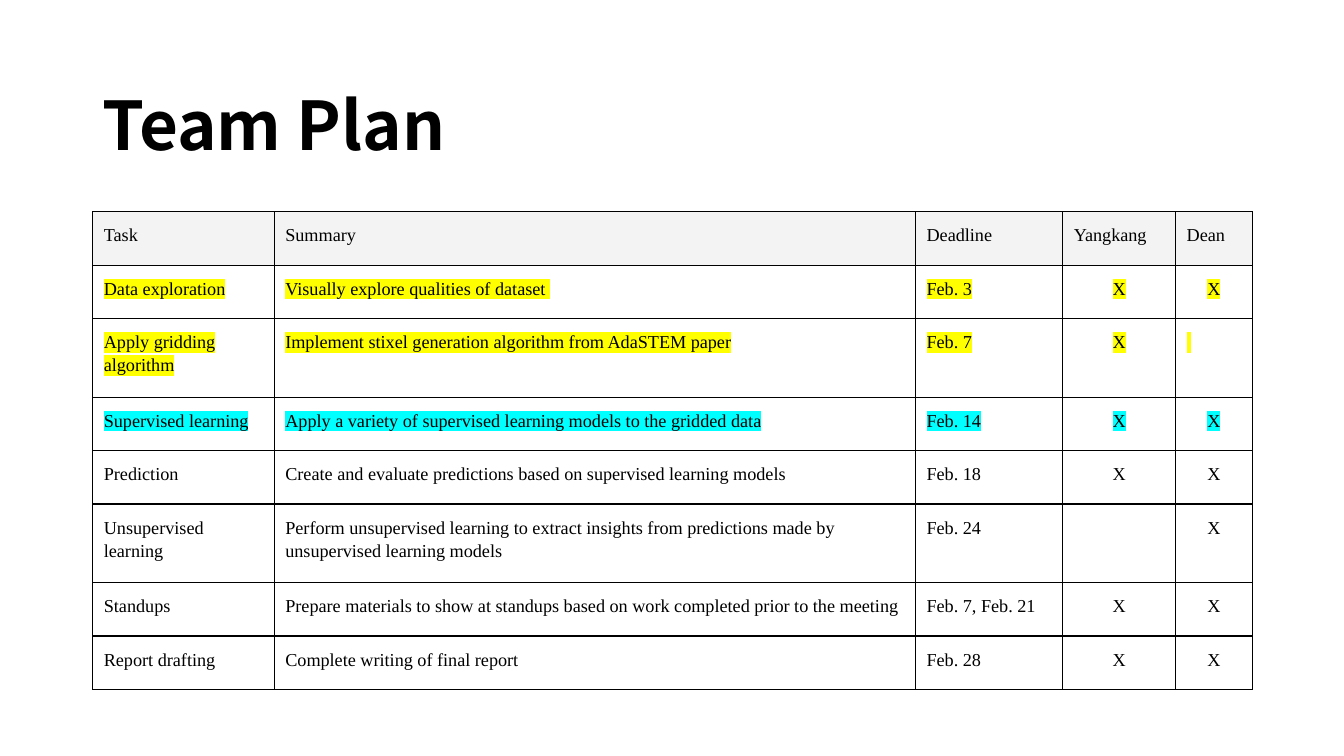
import pptx
import pptx.util
import pptx.dml.color
import pptx.enum.text
import pptx.oxml
import pptx.oxml.ns
import lxml.etree

Inches, Pt = pptx.util.Inches, pptx.util.Pt
RGB = pptx.dml.color.RGBColor.from_string
PP_ALIGN = pptx.enum.text.PP_ALIGN
qn = pptx.oxml.ns.qn

THEME = {
    "title_font": "Noto Sans CJK KR", "title_size": 48,
    "body_font": "Times New Roman", "body_size": 13,
    "ink": "000000", "header_fill": "F3F3F3",
    "done": "FFFF00", "current": "00FFFF",
}

TITLE = "Team Plan"
HEADER = ("Task", "Summary", "Deadline", "Yangkang", "Dean")
TASKS = [
    ("done", ("Data exploration", "Visually explore qualities of dataset ", "Feb. 3", "X", "X")),
    ("done", ("Apply gridding algorithm", "Implement stixel generation algorithm from AdaSTEM paper",
              "Feb. 7", "X", " ")),
    ("current", ("Supervised learning", "Apply a variety of supervised learning models to the gridded data",
                 "Feb. 14", "X", "X")),
    (None, ("Prediction", "Create and evaluate predictions based on supervised learning models",
            "Feb. 18", "X", "X")),
    (None, ("Unsupervised learning",
            "Perform unsupervised learning to extract insights from predictions made by "
            "unsupervised learning models", "Feb. 24", "", "X")),
    (None, ("Standups", "Prepare materials to show at standups based on work completed prior to the meeting",
            "Feb. 7, Feb. 21", "X", "X")),
    (None, ("Report drafting", "Complete writing of final report", "Feb. 28", "X", "X")),
]
COL_WIDTHS = (1.8, 6.36, 1.46, 1.12, 0.76)
ONE_LINE, TWO_LINES = 0.53, 0.78
TWO_LINE_ROWS = (2, 5)
LEFT, WIDTH, PAD = 0.92, 11.5, 0.11


def set_font(font, name, size, bold=False):
    font.name, font.size, font.bold = name, Pt(size), bold
    font.color.rgb = RGB(THEME["ink"])


def add_highlight(r, color):
    highlight = lxml.etree.SubElement(r.font._element, qn("a:highlight"))
    lxml.etree.SubElement(highlight, qn("a:srgbClr"), val=color)


def add_borders(cell):
    tcPr = cell._tc.get_or_add_tcPr()
    for i, side in enumerate(("lnL", "lnR", "lnT", "lnB")):
        ln = lxml.etree.Element(qn("a:" + side), w=str(Pt(1)))
        fill = lxml.etree.SubElement(ln, qn("a:solidFill"))
        lxml.etree.SubElement(fill, qn("a:srgbClr"), val=THEME["ink"])
        tcPr.insert(i, ln)


def fill_cell(cell, text, centered, status, header):
    cell.margin_left = cell.margin_right = cell.margin_top = cell.margin_bottom = Inches(PAD)
    if header:
        cell.fill.solid()
        cell.fill.fore_color.rgb = RGB(THEME["header_fill"])
    else:
        cell.fill.background()
    add_borders(cell)
    p = cell.text_frame.paragraphs[0]
    p.line_spacing = 1.15
    p.alignment = PP_ALIGN.CENTER if centered else PP_ALIGN.LEFT
    set_font(p.font, THEME["body_font"], THEME["body_size"])
    if text:
        r = p.add_run()
        r.text = text
        if status:
            add_highlight(r, THEME[status])


def add_title(slide):
    sp = slide.shapes.add_textbox(Inches(LEFT), Inches(0.67), Inches(WIDTH), Inches(1.02))
    tf = sp.text_frame
    tf.word_wrap = True
    tf.vertical_anchor = pptx.enum.text.MSO_ANCHOR.BOTTOM
    p = tf.paragraphs[0]
    p.text = TITLE
    p.line_spacing, p.space_after = 0.9, Pt(6)
    set_font(p.font, THEME["title_font"], THEME["title_size"], True)


def add_plan(slide):
    rows = [(None, HEADER)] + TASKS
    heights = [TWO_LINES if i in TWO_LINE_ROWS else ONE_LINE for i in range(len(rows))]
    table = slide.shapes.add_table(len(rows), len(HEADER), Inches(LEFT), Inches(2.1),
                                   Inches(WIDTH), Inches(sum(heights))).table
    table.first_row = table.horz_banding = False
    for column, width in zip(table.columns, COL_WIDTHS):
        column.width = Inches(width)
    for i, (status, texts) in enumerate(rows):
        table.rows[i].height = Inches(heights[i])
        for j, text in enumerate(texts):
            fill_cell(table.cell(i, j), text, text == "X", status, i == 0)


def main():
    prs = pptx.Presentation()
    prs.slide_width, prs.slide_height = Inches(13.33), Inches(7.5)
    slide = prs.slides.add_slide(prs.slide_layouts[6])
    add_title(slide)
    add_plan(slide)
    prs.save("out.pptx")


if __name__ == "__main__":
    main()
